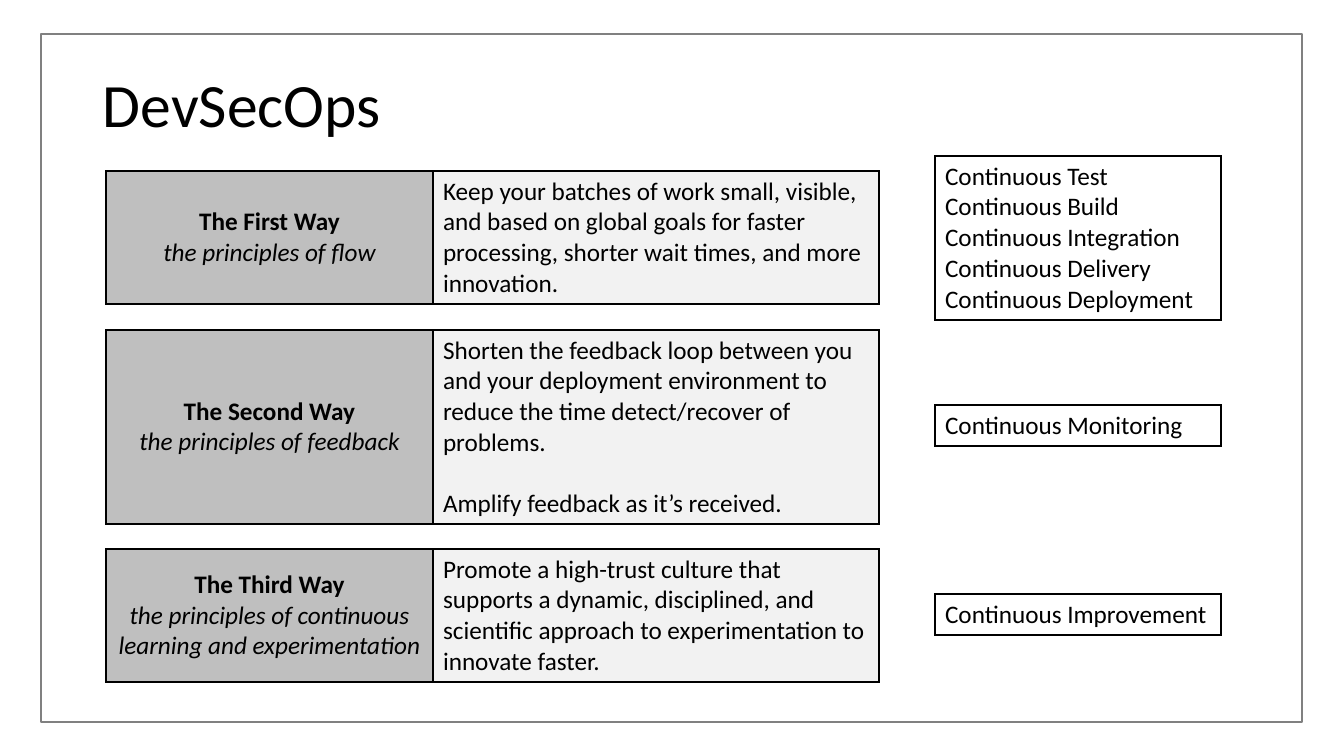
import pptx
import pptx.util
import pptx.dml.color
import pptx.enum.shapes
import pptx.enum.text
import pptx.oxml
import pptx.oxml.ns

PX = 914400 / 100.8
BLACK = pptx.dml.color.RGBColor(0x00, 0x00, 0x00)
FRAME_GRAY = pptx.dml.color.RGBColor(0x80, 0x80, 0x80)
WAY_GRAY = pptx.dml.color.RGBColor(0xBF, 0xBF, 0xBF)
ADVICE_GRAY = pptx.dml.color.RGBColor(0xF2, 0xF2, 0xF2)
FONT = "Calibri"

WAY_LEFT, WAY_WIDTHS = 106, (327, 446)
PRACTICE_LEFT, PRACTICE_WIDTH = 935, 286

# top, height, name, principles, advice
WAYS = [
    (171, 133, "The First Way", "the principles of flow",
     ["Keep your batches of work small, visible, and based on global goals "
      "for faster processing, shorter wait times, and more innovation."]),
    (330, 194, "The Second Way", "the principles of feedback",
     ["Shorten the feedback loop between you and your deployment environment "
      "to reduce the time detect/recover of problems.",
      "Amplify feedback as it’s received."]),
    (549, 133, "The Third Way",
     "the principles of continuous learning and experimentation",
     ["Promote a high-trust culture that supports a dynamic, disciplined, and "
      "scientific approach to experimentation to innovate faster."]),
]
# top, height, practices
PRACTICES = [
    (156, 164, ["Continuous Test", "Continuous Build", "Continuous Integration",
                "Continuous Delivery", "Continuous Deployment"]),
    (405, 41, ["Continuous Monitoring"]),
    (594, 41, ["Continuous Improvement"]),
]


def px(length):
    return pptx.util.Emu(round(length * PX))


def style_font(font, size):
    font.name = FONT
    font.size = pptx.util.Pt(size)
    font.color.rgb = BLACK


def write_lines(text_frame, lines, size=18):
    text_frame.text = "\n".join(lines)
    for paragraph in text_frame.paragraphs:
        style_font(paragraph.font, size)
    return text_frame.paragraphs


def add_borders(cell):
    properties = cell._tc.get_or_add_tcPr()
    for side in ("lnL", "lnR", "lnT", "lnB"):
        properties.append(pptx.oxml.parse_xml(
            f'<a:{side} {pptx.oxml.ns.nsdecls("a")} w="12700">'
            f'<a:solidFill><a:srgbClr val="{BLACK}"/></a:solidFill></a:{side}>'))


def add_row_table(slide, left, top, widths, height, fills):
    """Add a one-row bordered table and return its cells."""
    table = slide.shapes.add_table(
        1, len(widths), px(left), px(top), px(sum(widths)), px(height)).table
    table.first_row = table.horz_banding = False
    for column, width in zip(table.columns, widths):
        column.width = px(width)
    cells = list(table.rows[0].cells)
    for cell, color in zip(cells, fills):
        add_borders(cell)
        if color is None:
            cell.fill.background()
        else:
            cell.fill.solid()
            cell.fill.fore_color.rgb = color
    return cells


def add_frame(slide, left, top, width, height):
    frame = slide.shapes.add_shape(
        pptx.enum.shapes.MSO_SHAPE.RECTANGLE,
        px(left), px(top), px(width), px(height))
    frame.shadow.inherit = False
    frame.fill.background()
    frame.line.color.rgb = FRAME_GRAY
    frame.line.width = pptx.util.Pt(1.5)


def add_title(slide, left, top, width, height, title):
    text_frame = slide.shapes.add_textbox(
        px(left), px(top), px(width), px(height)).text_frame
    text_frame.word_wrap = True
    text_frame.vertical_anchor = pptx.enum.text.MSO_ANCHOR.BOTTOM
    heading = write_lines(text_frame, [title], 44)[0]
    heading.line_spacing = 0.9


def add_way(slide, top, height, name, principles, advice):
    way_cell, advice_cell = add_row_table(
        slide, WAY_LEFT, top, WAY_WIDTHS, height, (WAY_GRAY, ADVICE_GRAY))
    way_cell.vertical_anchor = pptx.enum.text.MSO_ANCHOR.MIDDLE
    way_lines = write_lines(way_cell.text_frame, [name, principles])
    for line in way_lines:
        line.alignment = pptx.enum.text.PP_ALIGN.CENTER
    way_lines[0].font.bold = True
    way_lines[1].font.italic = True
    for paragraph in write_lines(advice_cell.text_frame, advice)[1:]:
        paragraph.space_before = pptx.util.Pt(22)


def add_practices(slide, top, height, practices):
    cell = add_row_table(
        slide, PRACTICE_LEFT, top, [PRACTICE_WIDTH], height, [None])[0]
    write_lines(cell.text_frame, practices)


def main():
    presentation = pptx.Presentation()
    presentation.slide_width, presentation.slide_height = px(1344), px(756)
    slide = presentation.slides.add_slide(presentation.slide_layouts[6])
    add_frame(slide, 41, 34, 1261, 688)
    add_title(slide, 93, 0, 1159, 146, "DevSecOps")
    for way in WAYS:
        add_way(slide, *way)
    for practice_group in PRACTICES:
        add_practices(slide, *practice_group)
    presentation.save("out.pptx")


if __name__ == "__main__":
    main()
